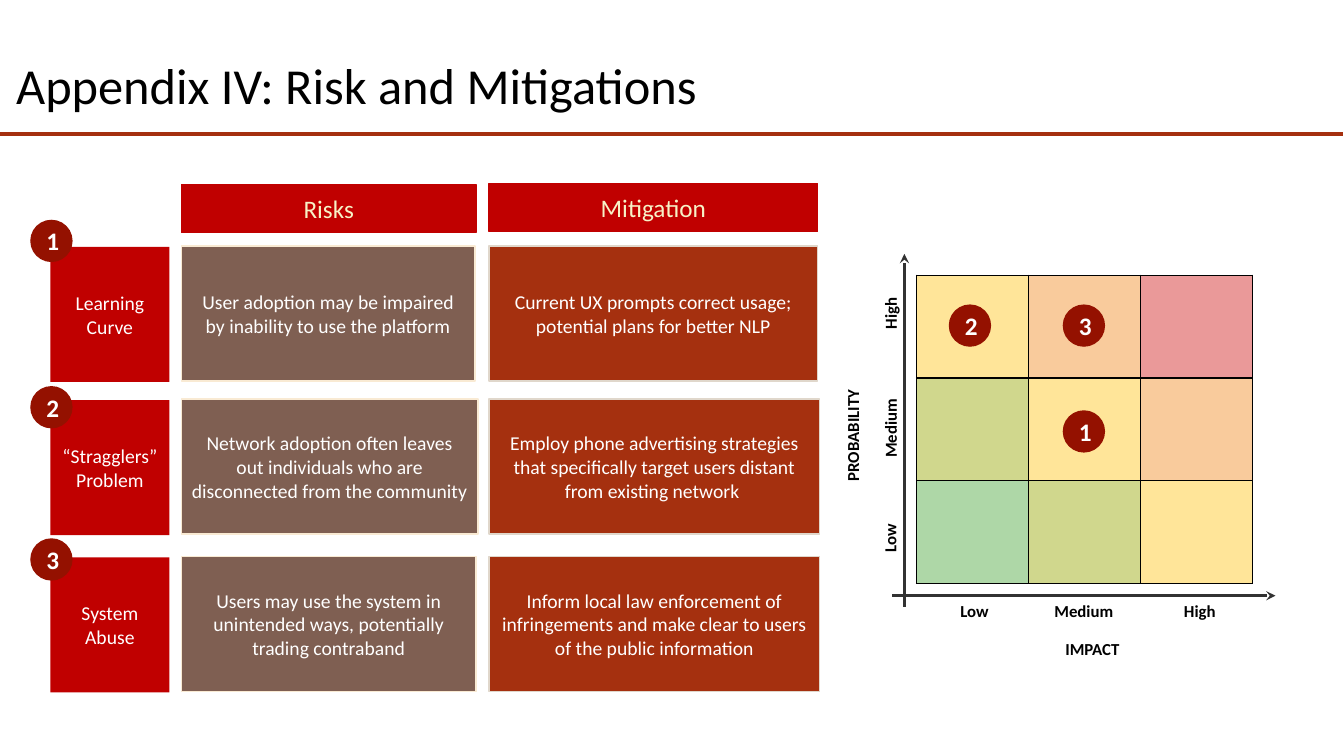
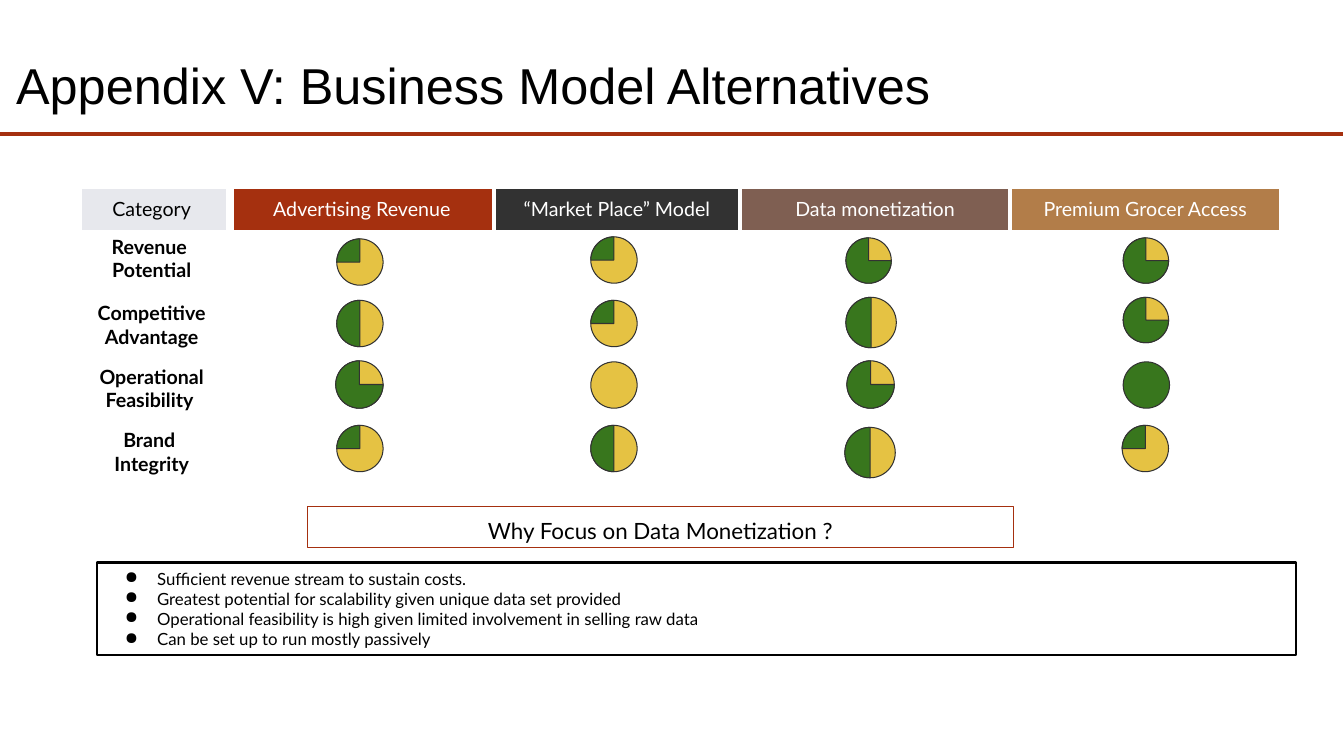
from dataclasses import dataclass, replace
from typing import NamedTuple

from lxml.etree import SubElement
from pptx import Presentation
from pptx.dml.color import RGBColor
from pptx.enum.shapes import MSO_CONNECTOR, MSO_SHAPE as Kind
from pptx.enum.text import MSO_ANCHOR as Anchor, MSO_AUTO_SIZE as Fit, PP_ALIGN as Align
from pptx.oxml.ns import qn
from pptx.util import Emu, Pt

PX = 9144  # 100 px to the inch
RUST, RED, BADGE = "A5300F", "C00000", "941100"
TAUPE, DARK, TAN = "7F5F52", "323232", "B27D49"
GOLD, GREEN = "E5C243", "38761D"
WHITE, BLACK = "FFFFFF", "000000"


class Rect(NamedTuple):
    x: int
    y: int
    w: int
    h: int


@dataclass(frozen=True)
class Style:
    kind: Kind = Kind.RECTANGLE
    fill: str | None = None
    line: str | None = None
    width: float = 1
    font: str = "Calibri"
    size: int = 14
    color: str = WHITE
    bold: bool = False
    anchor: Anchor = Anchor.MIDDLE
    align: Align = Align.CENTER
    inset: int = 5
    bullet: str | None = None


class Row(NamedTuple):
    name: str
    risk: str
    fix: str
    top: int
    risk_w: int
    fix_w: int
    badge: int


class Label(NamedTuple):
    text: str
    rect: Rect
    turn: int = 0


class Disc(NamedTuple):
    x: int
    y: int
    size: int
    quarters: int


LABEL = Style(size=12, color=BLACK, bold=True, anchor=Anchor.TOP)
NAME = Style(fill=RED)
RISK = Style(fill=TAUPE, line="F9EAD3")
FIX = Style(fill=RUST, line="E0D7CB")
HEAD = Style(fill=RED, line=RED, size=18, color="F7F2C7")
MARK = Style(kind=Kind.OVAL, fill=BADGE, size=18, bold=True)
ASK = Style(line=RUST, width=0.75, font="Lato", size=16, color=BLACK,
            anchor=Anchor.TOP, inset=10)
NOTE = Style(fill=WHITE, line=BLACK, width=1.5, font="Lato", size=12,
             color=BLACK, align=Align.LEFT, inset=10, bullet="●")
PLATE = Style(kind=Kind.OVAL, fill=GOLD, line=DARK, width=0.75)
SLICE = replace(PLATE, kind=Kind.PIE, fill=GREEN)

ROWS = [
    Row("Learning Curve",
        "User adoption may be impaired by inability to use the platform",
        "Current UX prompts correct usage; potential plans for better NLP",
        245, 291, 326, 218),
    Row("“Stragglers” Problem",
        "Network adoption often leaves out individuals who are disconnected from the community",
        "Employ phone advertising strategies that specifically target users distant "
        "from existing network ",
        397, 294, 328, 383),
    Row("System Abuse",
        "Users may use the system in unintended ways, potentially trading contraband",
        "Inform local law enforcement of infringements and make clear to users "
        "of the public information",
        553, 292, 328, 534),
]
LABELS = [
    Label("PROBABILITY", Rect(777, 414, 143, 36), 270),
    Label("Low", Rect(856, 516, 59, 36), 270),
    Label("Medium", Rect(836, 407, 100, 36), 270),
    Label("High", Rect(850, 293, 72, 36), 270),
    Label("Low", Rect(937, 591, 59, 36)),
    Label("Medium", Rect(1025, 591, 100, 36)),
    Label("High", Rect(1154, 591, 72, 36)),
    Label("IMPACT", Rect(1012, 629, 143, 36)),
]
# Colours by distance from the low-low corner
HEAT = ["AED7A7", "D0D78D", "FFE599", "F9CB9C", "EA9999"]
SPOTS = [("1", 1054, 407), ("2", 941, 302), ("3", 1054, 302)]

HEADS = [("Category", "E7E8ED"), ("Advertising Revenue", RUST),
         ("“Market Place” Model", DARK), ("Data monetization", TAUPE),
         ("Premium Grocer Access", TAN)]
TRAITS = ["Revenue \vPotential", "Competitive\nAdvantage",
          "Operational Feasibility ", "Brand \vIntegrity"]
DISCS = [
    Disc(334, 237, 46, 1), Disc(586, 235, 46, 1), Disc(839, 236, 45, 3), Disc(1114, 236, 45, 3),
    Disc(334, 298, 46, 2), Disc(586, 298, 46, 1), Disc(839, 295, 50, 2), Disc(1114, 295, 45, 3),
    Disc(333, 358, 47, 3), Disc(586, 359, 46, 0), Disc(840, 358, 47, 3), Disc(1114, 359, 46, 4),
    Disc(334, 422, 46, 1), Disc(586, 422, 46, 2), Disc(838, 424, 50, 2), Disc(1113, 422, 46, 1),
]
POINTS = [
    "Sufficient revenue stream to sustain costs.",
    "Greatest potential for scalability given unique data set provided",
    "Operational feasibility is high given limited involvement in selling raw data",
    "Can be set up to run mostly passively",
]


def px(n: int) -> Emu:
    return Emu(n * PX)


def rgb(code: str) -> RGBColor:
    return RGBColor.from_string(code)


def paint(item, code: str | None) -> None:
    """Fill a shape or cell, or leave it clear."""
    if code is None:
        item.fill.background()
    else:
        item.fill.solid()
        item.fill.fore_color.rgb = rgb(code)


def dot(para, mark: str) -> None:
    """Give a paragraph a hanging bullet."""
    props = para._p.get_or_add_pPr()
    props.set("marL", str(px(50)))
    props.set("indent", str(px(-32)))
    SubElement(SubElement(props, qn("a:buClr")), qn("a:srgbClr"), val=BLACK)
    SubElement(props, qn("a:buChar"), char=mark)


def write(frame, text: str, style: Style) -> None:
    frame.text = text
    for para in frame.paragraphs:
        if style.bullet:
            dot(para, style.bullet)
        para.alignment = style.align
        font = para.font
        font.name, font.size, font.bold = style.font, Pt(style.size), style.bold
        font.color.rgb = rgb(style.color)


def box(slide, rect: Rect, style: Style, text: str = ""):
    shape = slide.shapes.add_shape(style.kind, *map(px, rect))
    shape.shadow.inherit = False
    paint(shape, style.fill)
    if style.line:
        shape.line.color.rgb = rgb(style.line)
        shape.line.width = Pt(style.width)
    else:
        shape.line.fill.background()
    if text:
        frame = shape.text_frame
        frame.word_wrap = True
        frame.vertical_anchor = style.anchor
        frame.margin_left = frame.margin_right = px(10)
        frame.margin_top = frame.margin_bottom = px(style.inset)
        write(frame, text, style)
    return shape


def tag(slide, label: Label) -> None:
    """Place an axis label."""
    shape = slide.shapes.add_textbox(*map(px, label.rect))
    shape.rotation = label.turn
    shape.text_frame.word_wrap = True
    write(shape.text_frame, label.text, LABEL)


def rule(slide, start: tuple[int, int], end: tuple[int, int], color: str,
         width: float, arrow: bool = False) -> None:
    line = slide.shapes.add_connector(MSO_CONNECTOR.STRAIGHT, *map(px, start + end))
    line.line.color.rgb = rgb(color)
    line.line.width = Pt(width)
    if arrow:
        SubElement(line.line._get_or_add_ln(), qn("a:tailEnd"), type="stealth")
    SubElement(line._element.spPr, qn("a:effectLst"))


def begin(deck, title: str, font: str):
    """Add a slide with the shared rule and title."""
    slide = deck.slides.add_slide(deck.slide_layouts[5])
    rule(slide, (0, 133), (1332, 133), RUST, 3)
    head = slide.shapes.title
    head.left, head.top, head.width, head.height = map(px, (6, 32, 1332, 110))
    frame = head.text_frame
    frame.auto_size = Fit.NONE
    frame.word_wrap = True
    frame.vertical_anchor = Anchor.MIDDLE
    write(frame, title, Style(font=font, size=36, color=BLACK, align=Align.LEFT))
    frame.paragraphs[0].line_spacing = 0.9
    return slide


def edge(cell, color: str, **sides: float) -> None:
    """Draw cell borders, widths in points; call before filling."""
    props = cell._tc.get_or_add_tcPr()
    for side in "LRTB":
        line = SubElement(props, qn(f"a:ln{side}"), w=str(Pt(sides[side])))
        SubElement(SubElement(line, qn("a:solidFill")), qn("a:srgbClr"), val=color)


def grid(slide, x: int, y: int, cols: list[int], rows: list[int]):
    table = slide.shapes.add_table(len(rows), len(cols), px(x), px(y),
                                   px(sum(cols)), px(sum(rows))).table
    table.first_row = table.horz_banding = False
    for col, w in zip(table.columns, cols):
        col.width = px(w)
    for row, h in zip(table.rows, rows):
        row.height = px(h)
    return table


def risks(deck) -> None:
    slide = begin(deck, "Appendix IV: Risk and Mitigations", "Calibri")
    table = grid(slide, 909, 273, [111] * 3, [102] * 3)
    for r in range(3):
        for c in range(3):
            cell = table.cell(r, c)
            edge(cell, BLACK, L=1, R=1, T=1, B=1)
            paint(cell, HEAT[2 - r + c])
    rule(slide, (897, 602), (897, 252), DARK, 2.25, True)
    rule(slide, (885, 591), (1265, 591), DARK, 2.25, True)
    for label in LABELS:
        tag(slide, label)

    box(slide, Rect(180, 183, 292, 48), HEAD, "Risks")
    box(slide, Rect(485, 182, 326, 48), HEAD, "Mitigation")
    for num, row in enumerate(ROWS, 1):
        box(slide, Rect(50, row.top, 118, 134), NAME, row.name)
        box(slide, Rect(180, row.top - 1, row.risk_w, 134), RISK, row.risk)
        box(slide, Rect(485, row.top - 1, row.fix_w, 134), FIX, row.fix)
        box(slide, Rect(30, row.badge, 42, 42), MARK, str(num))
    for num, x, y in SPOTS:
        box(slide, Rect(x, y, 42, 42), MARK, num)


def models(deck) -> None:
    slide = begin(deck, "Appendix V: Business Model Alternatives", "Arial")
    table = grid(slide, 81, 187, [147, 262, 244, 268, 268], [42, 66, 63, 63, 63])
    for r in range(5):
        for c, (head, fill) in enumerate(HEADS):
            cell = table.cell(r, c)
            edge(cell, WHITE, L=(1, 6, 3, 3, 3)[c], R=(6, 3, 3, 3, 3)[c],
                 T=0.75 if r else 1, B=0.75)
            paint(cell, None if r else fill)
            cell.margin_left = px(8 if c else 0)
            cell.margin_right = px(8)
            cell.margin_top = cell.margin_bottom = px(4)
            if r == 0:
                cell.vertical_anchor = Anchor.MIDDLE
                write(cell.text_frame, head, Style(font="Lato", color=WHITE if c else BLACK))
                cell.text_frame.paragraphs[0].line_spacing = 0.9
            elif c == 0:
                write(cell.text_frame, TRAITS[r - 1], Style(font="Lato", color=BLACK, bold=True))

    for disc in DISCS:
        rect = Rect(disc.x, disc.y, disc.size, disc.size)
        full = disc.quarters == 4
        box(slide, rect, replace(PLATE, fill=GREEN) if full else PLATE)
        if 0 < disc.quarters < 4:
            # Angles in units of 1/0.6 degree; the slice ends at twelve o'clock
            pie = box(slide, rect, SLICE)
            pie.adjustments[0] = 162 - 54 * disc.quarters
            pie.adjustments[1] = 162
    box(slide, Rect(305, 503, 700, 40), ASK, "Why Focus on Data Monetization ?")
    box(slide, Rect(96, 558, 1189, 92), NOTE, "\n".join(POINTS))


def main() -> None:
    deck = Presentation()
    deck.slide_width, deck.slide_height = px(1333), px(750)
    risks(deck)
    models(deck)
    deck.save("out.pptx")


if __name__ == "__main__":
    main()
